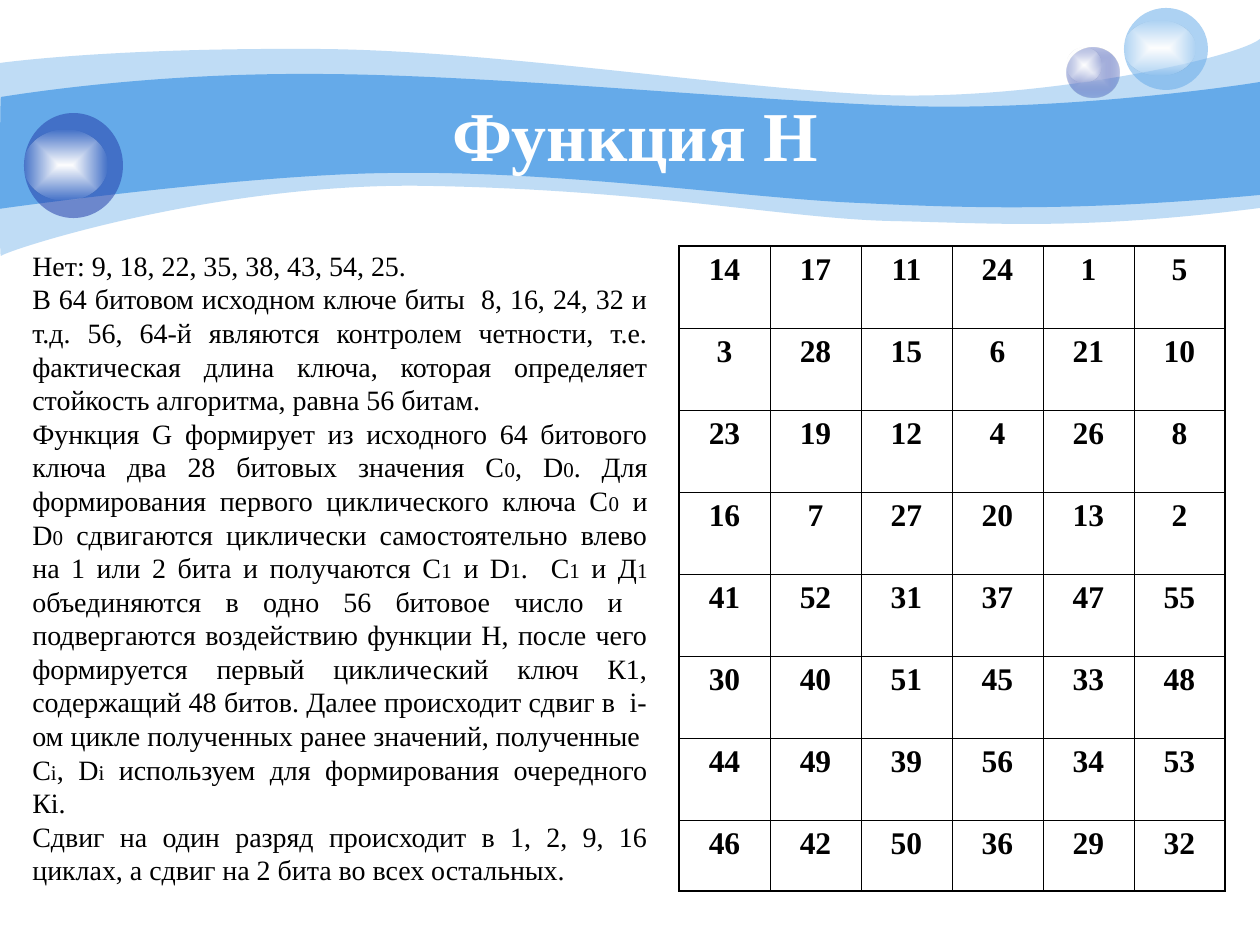
from lxml import etree
from pptx import Presentation
from pptx.dml.color import RGBColor
from pptx.enum.shapes import MSO_SHAPE
from pptx.enum.text import MSO_ANCHOR, PP_ALIGN
from pptx.oxml import parse_xml
from pptx.oxml.ns import nsdecls, qn
from pptx.util import Pt

EMU_PER_PX = 914400 / 126
FONT = "Times New Roman"
BLUE = RGBColor(0x65, 0xAA, 0xE9)
NAVY = RGBColor(0x23, 0x3D, 0xA9)
LAVENDER = RGBColor(0xC7, 0xCE, 0xE9)
WHITE = RGBColor(0xFF, 0xFF, 0xFF)
BLACK = RGBColor(0, 0, 0)

OVAL = MSO_SHAPE.OVAL
CENTER, JUSTIFY = PP_ALIGN.CENTER, PP_ALIGN.JUSTIFY
MIDDLE, TOP = MSO_ANCHOR.MIDDLE, MSO_ANCHOR.TOP

OUTER_BORDER, INNER_BORDER = Pt(1.08), Pt(0.45)

# Each wave: a start point, then segments of three points (curve) or one (line).
PALE_WAVE = [
    [(0, 63)],
    [(30, 59), (135, 48), (311, 49)],
    [(486, 49), (725, 88), (881, 95)],
    [(1036, 101), (1235, 59), (1260, 39)],
    [(1260, 208)],
    [(1079, 231), (992, 223), (888, 221)],
    [(784, 218), (649, 190), (432, 186)],
    [(217, 181), (5, 251), (1, 256)],
    [(-1, 262), (0, 95), (0, 63)],
]
BRIGHT_WAVE = [
    [(1, 97)],
    [(3, 97), (139, 73), (312, 74)],
    [(486, 74), (750, 101), (905, 106)],
    [(1060, 111), (1230, 87), (1260, 82)],
    [(1260, 195)],
    [(1075, 212), (964, 208), (859, 203)],
    [(755, 199), (563, 171), (399, 173)],
    [(256, 173), (-3, 209), (-1, 209)],
    [(0, 209), (0, 97), (1, 97)],
]

PERMUTATION = [
    [14, 17, 11, 24, 1, 5],
    [3, 28, 15, 6, 21, 10],
    [23, 19, 12, 4, 26, 8],
    [16, 7, 27, 20, 13, 2],
    [41, 52, 31, 37, 47, 55],
    [30, 40, 51, 45, 33, 48],
    [44, 49, 39, 56, 34, 53],
    [46, 42, 50, 36, 29, 32],
]
COLUMN_WIDTH, ROW_HEIGHT, LAST_ROW_HEIGHT = 91, 82, 71

# Indices in smaller type stand between bars.
EXPLANATION = [
    "Нет: 9, 18, 22, 35, 38, 43, 54, 25.",
    "В 64 битовом исходном ключе биты  8, 16, 24, 32 и т.д. 56, 64-й являются "
    "контролем четности, т.е. фактическая длина ключа, которая определяет "
    "стойкость алгоритма, равна 56 битам.",
    "Функция G формирует из исходного 64 битового ключа два 28 битовых значения "
    "С|0|, D|0|. Для формирования первого циклического ключа С|0| и D|0| "
    "сдвигаются циклически самостоятельно влево на 1 или 2 бита и получаются "
    "С|1| и D|1|.  С|1| и Д|1| объединяются в одно 56 битовое число и  "
    "подвергаются воздействию функции Н, после чего формируется первый "
    "циклический ключ К1, содержащий 48 битов. Далее происходит сдвиг в  i-ом "
    "цикле полученных ранее значений, полученные  С|i|, D|i| используем для "
    "формирования очередного Кi.",
    "Сдвиг на один разряд происходит в 1, 2, 9, 16 циклах, а сдвиг на 2 бита "
    "во всех остальных.",
]


def px(value):
    return round(value * EMU_PER_PX)


def write_text(frame, paragraphs, *, size, color=BLACK, bold=False,
               align=CENTER, index_size=12):
    frame.word_wrap = True
    for number, text in enumerate(paragraphs):
        paragraph = frame.add_paragraph() if number else frame.paragraphs[0]
        paragraph.alignment = align
        for position, part in enumerate(text.split("|")):
            run = paragraph.add_run()
            run.text = part
            run.font.name = FONT
            run.font.size = Pt(index_size if position % 2 else size)
            run.font.bold = bold
            run.font.color.rgb = color


def add_text_box(slide, left, top, width, height, paragraphs, **text_format):
    box = slide.shapes.add_textbox(px(left), px(top), px(width), px(height))
    box.text_frame.vertical_anchor = MIDDLE
    write_text(box.text_frame, paragraphs, **text_format)


def fill_solid(shape, color, opacity=100):
    shape.fill.solid()
    shape.fill.fore_color.rgb = color
    if opacity < 100:
        color_element = shape.fill._xPr.find(".//" + qn("a:srgbClr"))
        etree.SubElement(color_element, qn("a:alpha"), val=str(opacity * 1000))


def fill_glow(shape, center, edge, edge_opacity):
    """Fill with a gradient from an opaque centre to a translucent edge."""
    properties = shape.fill._xPr
    gradient = parse_xml(
        f'<a:gradFill {nsdecls("a")} rotWithShape="1"><a:gsLst>'
        f'<a:gs pos="0"><a:srgbClr val="{center}"/></a:gs>'
        f'<a:gs pos="100000"><a:srgbClr val="{edge}">'
        f'<a:alpha val="{edge_opacity * 1000}"/></a:srgbClr></a:gs></a:gsLst>'
        '<a:path path="rect"><a:fillToRect l="50000" t="50000" r="50000" b="50000"/>'
        '</a:path></a:gradFill>')
    properties.find(qn("a:prstGeom")).addnext(gradient)


def bend_segments(shape, segments):
    """Turn the line steps of each three-point segment into one cubic curve."""
    lines = iter(list(shape._element.iter(qn("a:lnTo"))))
    for segment in segments:
        steps = [next(lines) for _ in segment]
        if len(steps) == 3:
            curve = etree.Element(qn("a:cubicBezTo"))
            steps[0].addprevious(curve)
            for step in steps:
                curve.append(step[0])
                step.getparent().remove(step)


def add_wave(slide, outline, opacity=100):
    points = [(px(x), px(y)) for segment in outline for x, y in segment]
    builder = slide.shapes.build_freeform(*points[0])
    builder.add_line_segments(points[1:], close=True)
    wave = builder.convert_to_shape()
    bend_segments(wave, outline[1:])
    wave.shadow.inherit = False
    wave.line.fill.background()
    fill_solid(wave, BLUE, opacity)


def add_oval(slide, left, top, width, height):
    oval = slide.shapes.add_shape(OVAL, px(left), px(top), px(width), px(height))
    oval.shadow.inherit = False
    oval.line.fill.background()
    return oval


def add_bubbles(slide):
    fill_glow(add_oval(slide, 1067, 48, 53, 50), LAVENDER, NAVY, 31)
    fill_glow(add_oval(slide, 1067, 48, 35, 34), WHITE, WHITE, 0)
    fill_solid(add_oval(slide, 1124, 8, 84, 82), BLUE, 53)
    fill_glow(add_oval(slide, 1124, 21, 71, 54), WHITE, WHITE, 0)
    fill_solid(add_oval(slide, 24, 113, 99, 105), NAVY, 53)
    fill_glow(add_oval(slide, 24, 130, 83, 70), WHITE, WHITE, 0)


def set_borders(cell, outer_sides):
    properties = cell._tc.get_or_add_tcPr()
    for side in "LRTB":
        width = OUTER_BORDER if side in outer_sides else INNER_BORDER
        properties.append(parse_xml(
            f'<a:ln{side} {nsdecls("a")} w="{width}"><a:solidFill>'
            f'<a:srgbClr val="{BLACK}"/></a:solidFill></a:ln{side}>'))


def add_number_table(slide, left, top, numbers):
    row_count, column_count = len(numbers), len(numbers[0])
    heights = [ROW_HEIGHT] * (row_count - 1) + [LAST_ROW_HEIGHT]
    table = slide.shapes.add_table(
        row_count, column_count, px(left), px(top),
        px(COLUMN_WIDTH * column_count), px(sum(heights))).table
    table.first_row = table.horz_banding = False
    for column in table.columns:
        column.width = px(COLUMN_WIDTH)
    for i, (row, height) in enumerate(zip(table.rows, heights)):
        row.height = px(height)
        for j, cell in enumerate(row.cells):
            edges = {"L": j == 0, "R": j == column_count - 1,
                     "T": i == 0, "B": i == row_count - 1}
            set_borders(cell, [side for side, outer in edges.items() if outer])
            cell.fill.background()
            cell.vertical_anchor = TOP
            write_text(cell.text_frame, [str(numbers[i][j])], size=18, bold=True)


def main():
    presentation = Presentation()
    presentation.slide_width, presentation.slide_height = px(1260), px(945)
    slide = presentation.slides.add_slide(presentation.slide_layouts[6])
    add_wave(slide, PALE_WAVE, opacity=41)
    add_wave(slide, BRIGHT_WAVE)
    add_bubbles(slide)
    add_text_box(slide, 126, 95, 1018, 78, ["Функция Н"],
                 size=40, color=WHITE, bold=True)
    add_number_table(slide, 679, 246, PERMUTATION)
    add_text_box(slide, 20, 217, 640, 701, EXPLANATION, size=16, align=JUSTIFY)
    presentation.save("out.pptx")


if __name__ == "__main__":
    main()
